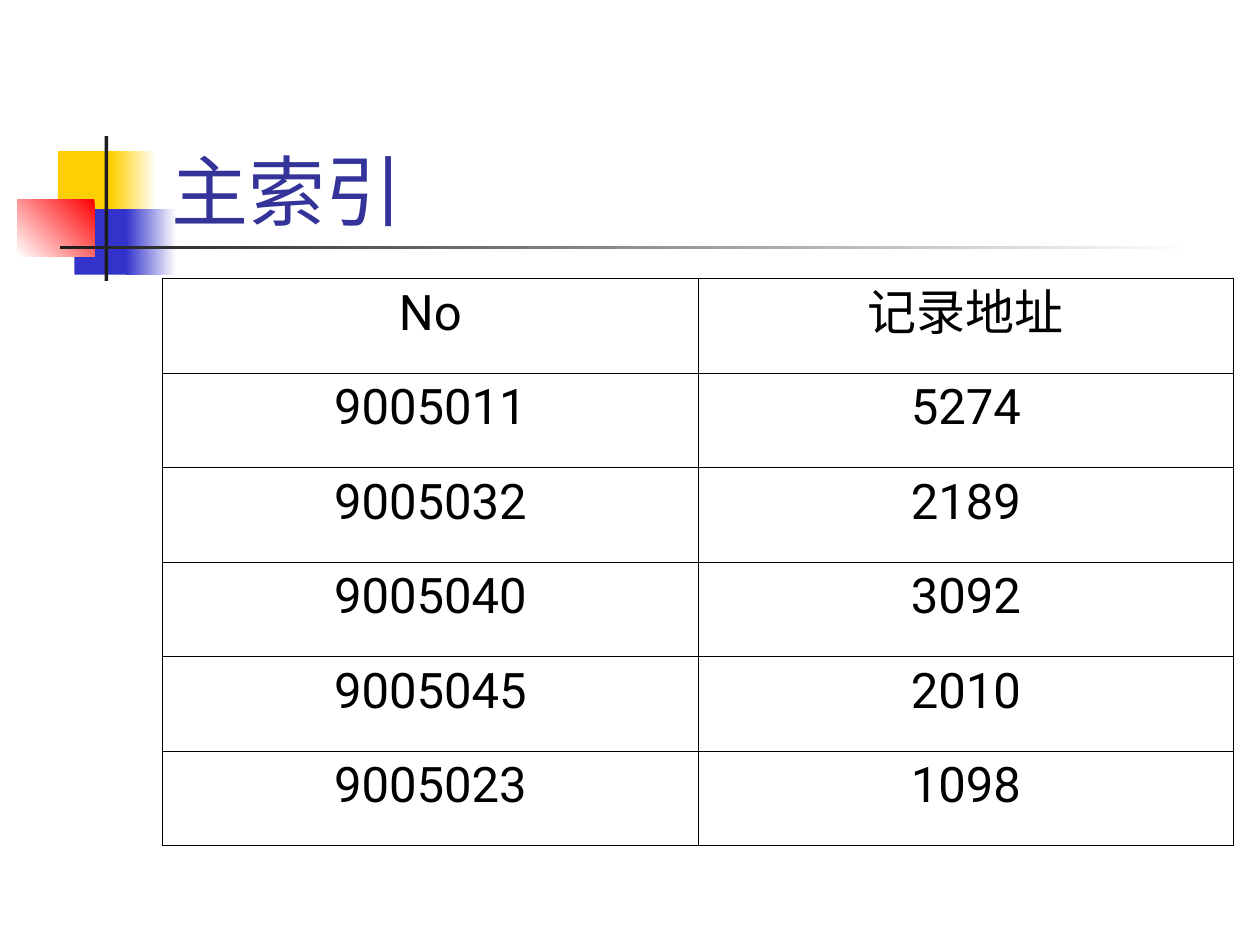
"""Build the slide that shows a primary index table."""
from dataclasses import dataclass

from lxml import etree
from pptx import Presentation
from pptx.dml.color import RGBColor
from pptx.enum.shapes import MSO_SHAPE
from pptx.enum.text import MSO_ANCHOR, PP_ALIGN
from pptx.oxml.ns import qn
from pptx.util import Inches, Pt

RECTANGLE = MSO_SHAPE.RECTANGLE
BOTTOM = MSO_ANCHOR.BOTTOM
CENTER = PP_ALIGN.CENTER


@dataclass(frozen=True)
class Theme:
    font: str = "Roboto"
    title_size: int = 44
    cell_size: int = 28
    outer_line: float = 1.08
    inner_line: float = 0.45
    title: str = "333399"
    text: str = "000000"
    yellow: str = "FFCF01"
    blue: str = "3333CC"
    red: str = "FF0000"
    dark: str = "1C1C1C"
    white: str = "FFFFFF"


THEME = Theme()
TITLE = "主索引"
TITLE_AREA = (1.26, 0.67, 8.52, 1.25)
INDEX_ROWS = [
    ("No", "记录地址"),
    ("9005011", "5274"),
    ("9005032", "2189"),
    ("9005040", "3092"),
    ("9005045", "2010"),
    ("9005023", "1098"),
]
TABLE_LEFT, TABLE_TOP = 1.29, 2.21
COLUMN_WIDTH, ROW_HEIGHT = 4.25, 0.75
LEFTWARD, TO_LOWER_LEFT = 180, 225
DECORATIONS = [
    ((0.46, 1.2, 0.48, 0.52), (THEME.yellow,), None),
    ((0.88, 1.2, 0.36, 0.52), (THEME.white, THEME.yellow), LEFTWARD),
    ((0.59, 1.66, 0.46, 0.52), (THEME.blue,), None),
    ((1, 1.66, 0.4, 0.52), (THEME.white, THEME.blue), LEFTWARD),
    ((0.14, 1.58, 0.61, 0.46), (THEME.red, THEME.white), TO_LOWER_LEFT),
    ((0.83, 1.08, 0.03, 1.15), (THEME.dark,), None),
    ((0.48, 1.95, 9, 0.03), (THEME.white, THEME.dark), LEFTWARD),
]


def add_decoration(slide, area, colors, angle):
    box = slide.shapes.add_shape(RECTANGLE, *map(Inches, area))
    box.shadow.inherit = False
    box.line.fill.background()
    if angle is None:
        box.fill.solid()
        box.fill.fore_color.rgb = RGBColor.from_string(colors[0])
        return
    box.fill.gradient()
    box.fill.gradient_angle = angle
    for stop, color in zip(box.fill.gradient_stops, colors):
        stop.color.rgb = RGBColor.from_string(color)


def add_span(para, text, size, color):
    span = para.add_run()
    span.text = text
    span.font.size = Pt(size)
    span.font.name = THEME.font
    span.font.color.rgb = RGBColor.from_string(color)
    etree.SubElement(span.font._element, qn("a:ea"), typeface=THEME.font)


def add_title(slide):
    box = slide.shapes.add_textbox(*map(Inches, TITLE_AREA))
    frame = box.text_frame
    frame.word_wrap = True
    frame.vertical_anchor = BOTTOM
    add_span(frame.paragraphs[0], TITLE, THEME.title_size, THEME.title)


def set_borders(cell, outer_sides):
    properties = cell._tc.get_or_add_tcPr()
    for side, is_outer in outer_sides.items():
        width = THEME.outer_line if is_outer else THEME.inner_line
        line = etree.SubElement(properties, qn(f"a:ln{side}"), w=str(Pt(width)))
        fill = etree.SubElement(line, qn("a:solidFill"))
        etree.SubElement(fill, qn("a:srgbClr"), val=THEME.text)


def add_index_table(slide):
    row_count, column_count = len(INDEX_ROWS), len(INDEX_ROWS[0])
    area = (TABLE_LEFT, TABLE_TOP, COLUMN_WIDTH * column_count, ROW_HEIGHT * row_count)
    table = slide.shapes.add_table(row_count, column_count, *map(Inches, area)).table
    table.first_row = False
    table.horz_banding = False
    for row, values in enumerate(INDEX_ROWS):
        for column, value in enumerate(values):
            cell = table.cell(row, column)
            set_borders(cell, {
                "L": column == 0,
                "R": column == column_count - 1,
                "T": row == 0,
                "B": row == row_count - 1,
            })
            cell.fill.background()
            para = cell.text_frame.paragraphs[0]
            para.alignment = CENTER
            add_span(para, value, THEME.cell_size, THEME.text)


def main():
    deck = Presentation()
    deck.slide_width, deck.slide_height = Inches(10), Inches(7.5)
    page = deck.slides.add_slide(deck.slide_layouts[6])
    for area, colors, angle in DECORATIONS:
        add_decoration(page, area, colors, angle)
    add_title(page)
    add_index_table(page)
    deck.save("out.pptx")


if __name__ == "__main__":
    main()
